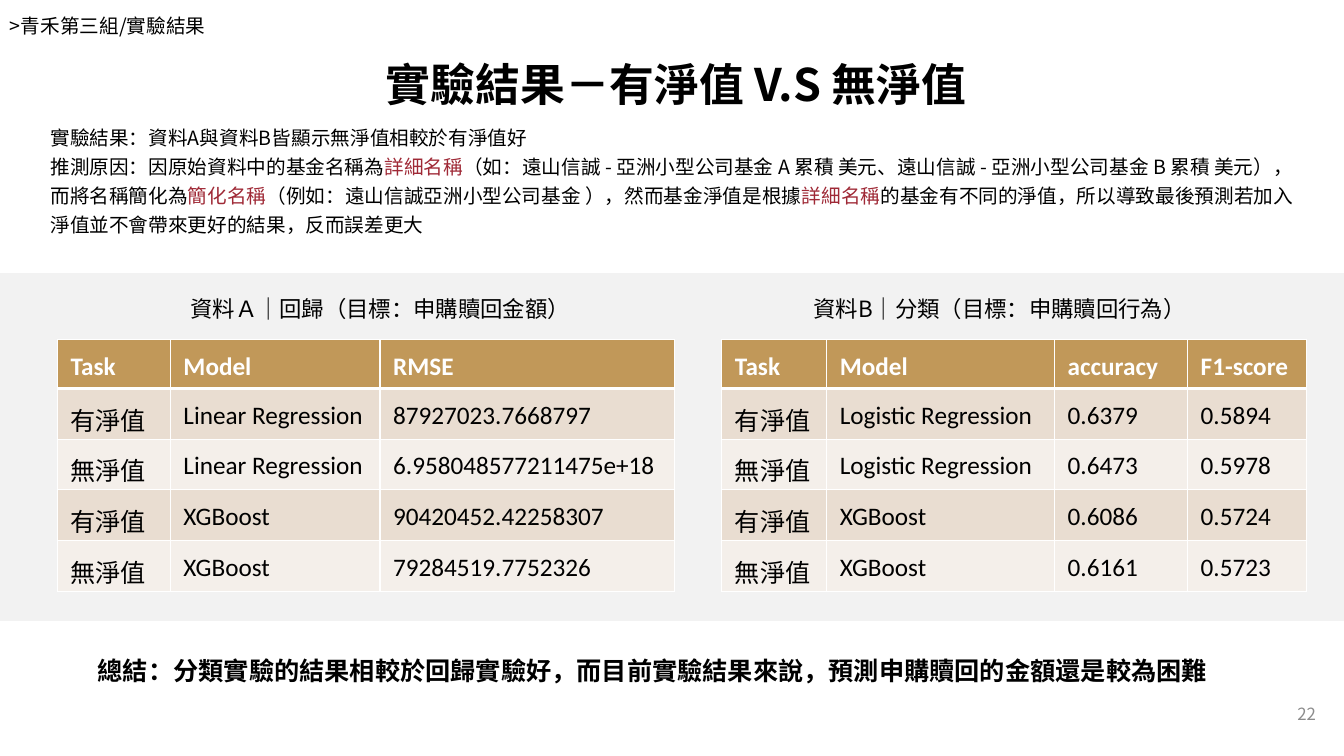
from dataclasses import dataclass
from lxml.etree import SubElement
from pptx import Presentation
from pptx.dml.color import RGBColor
from pptx.enum.shapes import MSO_SHAPE
from pptx.enum.text import MSO_ANCHOR, PP_ALIGN
from pptx.oxml.ns import qn
from pptx.util import Inches, Pt


@dataclass(frozen=True)
class Theme:
    cjk: str = "Noto Sans CJK TC"
    latin: str = "Calibri"
    ink: str = "000000"
    accent: str = "9F2936"
    muted: str = "8C8C8C"
    white: str = "FFFFFF"
    panel: str = "F2F2F2"
    header: str = "C19859"
    bands: tuple = ("E9DDD1", "F4EFEA")
    title: int = 32
    table: int = 18
    summary: int = 18
    caption: int = 16
    body: int = 14
    number: int = 12


THEME = Theme()


def add_run(paragraph, words, size, color=THEME.ink, bold=False, face=THEME.cjk):
    run = paragraph.add_run()
    run.text = words
    for key, value in {"size": Pt(size), "bold": bold, "name": face}.items():
        setattr(run.font, key, value)
    run.font.color.rgb = RGBColor.from_string(color)
    SubElement(run.font._element, qn("a:ea"), typeface=THEME.cjk)


def set_margins(target, horizontal, vertical):
    margins = {"left": horizontal, "right": horizontal, "top": vertical, "bottom": vertical}
    for side, value in margins.items():
        setattr(target, f"margin_{side}", Inches(value))


def add_text(slide, box, paragraphs, size, align=PP_ALIGN.LEFT, inset=(0.1, 0.05),
             anchor=MSO_ANCHOR.TOP, spacing=None, color=THEME.ink, bold=False):
    """Each paragraph is a list of (words, color) runs; None means the default color."""
    frame = slide.shapes.add_textbox(*map(Inches, box)).text_frame
    frame.word_wrap = True
    frame.vertical_anchor = anchor
    set_margins(frame, *inset)
    for index, runs in enumerate(paragraphs):
        paragraph = frame.add_paragraph() if index else frame.paragraphs[0]
        paragraph.alignment = align
        if spacing:
            paragraph.line_spacing = spacing
        for words, run_color in runs:
            add_run(paragraph, words, size, run_color or color, bold)


def plain(words):
    return [[(words, None)]]


def add_cell_borders(cell, top, bottom):
    properties = cell._tc.get_or_add_tcPr()
    for side, width in {"L": 1, "R": 1, "T": top, "B": bottom}.items():
        line = SubElement(properties, qn(f"a:ln{side}"), w=str(Pt(width)))
        SubElement(SubElement(line, qn("a:solidFill")), qn("a:srgbClr"), val=THEME.white)


def add_heading(slide, box):
    left, top, width, _ = box
    add_text(slide, (left, top + 0.04, 4.84, 0.44), plain(">青禾第三組/實驗結果"),
             THEME.body, inset=(0.1, 0.1))
    title_width = 7.62
    add_text(slide, (left + (width - title_width) / 2 + 0.04, top + 0.43, title_width, 0.81),
             plain("實驗結果－有淨值 V.S 無淨值"), THEME.title, PP_ALIGN.CENTER,
             inset=(0.13, 0.13), bold=True)


def add_analysis(slide, box):
    detailed = ("詳細名稱", THEME.accent)
    reason = [
        ("推測原因：因原始資料中的基金名稱為", None), detailed,
        ("（如：遠山信誠 - 亞洲小型公司基金 A 累積 美元、遠山信誠 - 亞洲小型公司基金 B 累積 美元），"
         "而將名稱簡化為", None),
        ("簡化名稱", THEME.accent),
        ("（例如：遠山信誠亞洲小型公司基金 ），然而基金淨值是根據", None), detailed,
        ("的基金有不同的淨值，所以導致最後預測若加入淨值並不會帶來更好的結果，反而誤差更大", None),
    ]
    finding = [("實驗結果：資料A與資料B皆顯示無淨值相較於有淨值好", None)]
    add_text(slide, box, [finding, reason], THEME.body, inset=(0.13, 0.13), spacing=1.24)


def add_results(slide, box, caption, caption_indent, columns, rows):
    """Caption above a banded result table."""
    left, top, width, height = box
    add_text(slide, (left + caption_indent, top, 4.5, 0.37), plain(caption), THEME.caption)

    table_top, header_height = 0.49, 0.45
    row_height = (height - table_top - header_height) / (len(rows) - 1)
    results = slide.shapes.add_table(
        len(rows), len(columns), Inches(left), Inches(top + table_top),
        Inches(width), Inches(height - table_top)).table
    for column, column_width in zip(results.columns, columns):
        column.width = Inches(column_width)

    for r, values in enumerate(rows):
        results.rows[r].height = Inches(row_height if r else header_height)
        for c, value in enumerate(values):
            cell = results.cell(r, c)
            add_cell_borders(cell, 3 if r == 1 else 1, 1 if r else 3)
            cell.fill.solid()
            fill = THEME.bands[(r - 1) % 2] if r else THEME.header
            cell.fill.fore_color.rgb = RGBColor.from_string(fill)
            set_margins(cell, 0.13, 0.07)
            paragraph = cell.text_frame.paragraphs[0]
            paragraph.line_spacing = 1.15
            add_run(paragraph, value, THEME.table, THEME.ink if r else THEME.white,
                    bold=r == 0, face=THEME.cjk if r and c == 0 else THEME.latin)


def add_comparison(slide, box):
    left, top, _, _ = box
    panel = slide.shapes.add_shape(MSO_SHAPE.RECTANGLE, *map(Inches, box))
    panel.shadow.inherit = False
    panel.fill.solid()
    panel.fill.fore_color.rgb = RGBColor.from_string(THEME.panel)
    panel.line.fill.background()

    add_results(slide, (left + 0.57, top + 0.17, 6.12, 2.95),
                "資料Ａ｜回歸（目標：申購贖回金額）", 1.22, (1.12, 2.08, 2.92), [
                    ("Task", "Model", "RMSE"),
                    ("有淨值", "Linear Regression", "87927023.7668797"),
                    ("無淨值", "Linear Regression", "6.958048577211475e+18"),
                    ("有淨值", "XGBoost", "90420452.42258307"),
                    ("無淨值", "XGBoost", "79284519.7752326")])
    add_results(slide, (left + 7.16, top + 0.17, 5.8, 2.95),
                "資料B｜分類（目標：申購贖回行為）", 0.81, (1.04, 2.26, 1.32, 1.18), [
                    ("Task", "Model", "accuracy", "F1-score"),
                    ("有淨值", "Logistic Regression", "0.6379", "0.5894"),
                    ("無淨值", "Logistic Regression", "0.6473", "0.5978"),
                    ("有淨值", "XGBoost", "0.6086", "0.5724"),
                    ("無淨值", "XGBoost", "0.6161", "0.5723")])


def add_conclusion(slide, box):
    left, top, width, _ = box
    add_text(slide, (left + 0.19, top, 12.56, 0.4),
             plain("總結：分類實驗的結果相較於回歸實驗好，而目前實驗結果來說，預測申購贖回的金額還是較為困難"),
             THEME.summary, PP_ALIGN.CENTER, bold=True)
    # Page number
    add_text(slide, (left + width - 0.98, top + 0.35, 0.8, 0.57), plain("22"), THEME.number,
             PP_ALIGN.RIGHT, inset=(0.1, 0.1), anchor=MSO_ANCHOR.MIDDLE, color=THEME.muted)


def main():
    width, height = 13.33, 7.5
    deck = Presentation()
    deck.slide_width, deck.slide_height = Inches(width), Inches(height)
    slide = deck.slides.add_slide(deck.slide_layouts[6])

    # Regions from top to bottom
    add_comparison(slide, (0, 2.71, width, 3.45))
    add_heading(slide, (0, 0, width, 1.24))
    add_analysis(slide, (0.37, 1.06, 12.74, 1.56))
    add_conclusion(slide, (0, 6.45, width, 1.05))
    deck.save("out.pptx")


if __name__ == "__main__":
    main()
